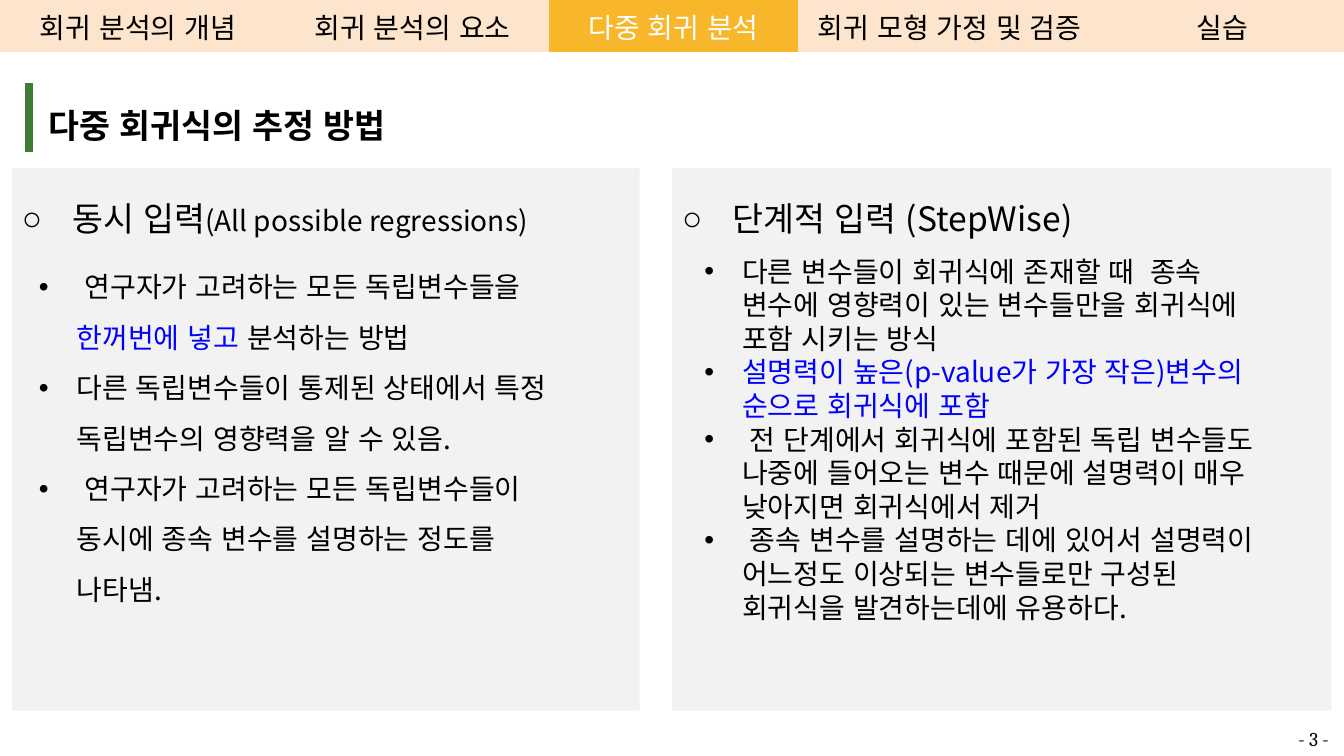
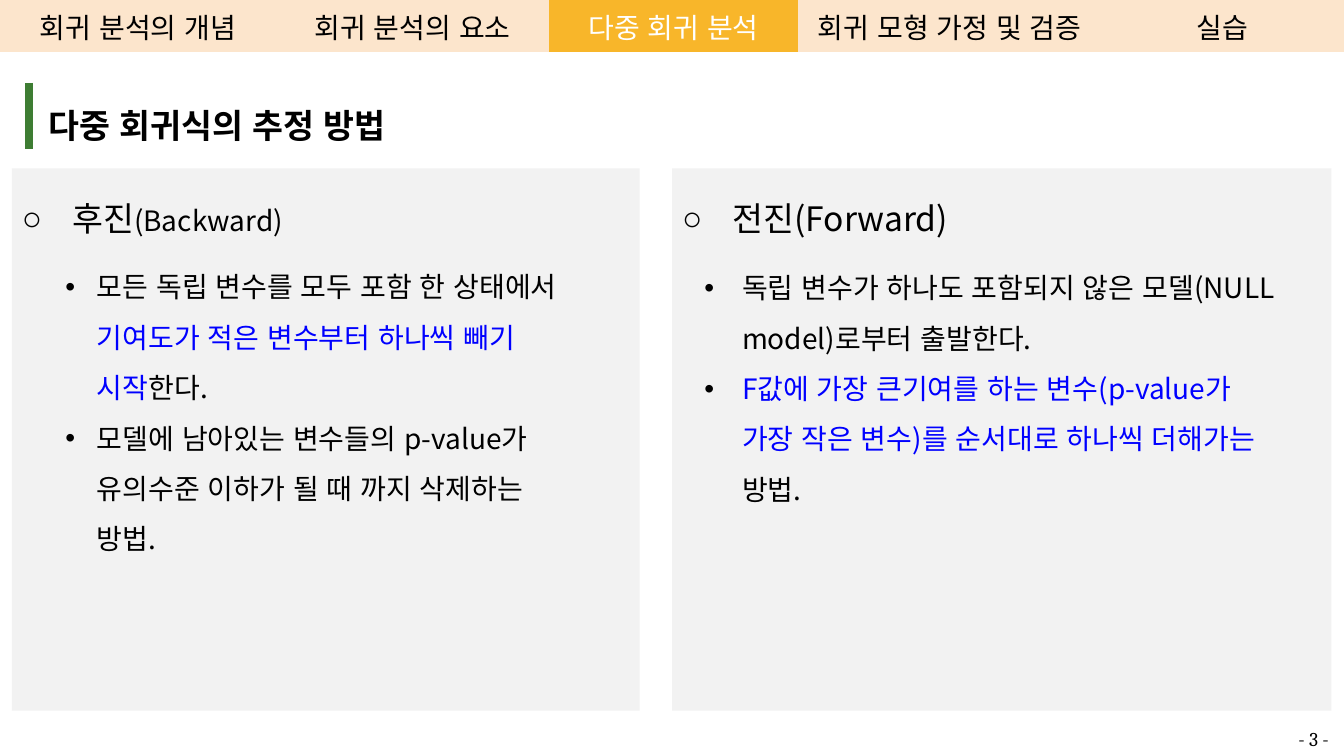
from dataclasses import dataclass

from lxml.etree import SubElement
from pptx import Presentation
from pptx.dml.color import RGBColor
from pptx.enum.lang import MSO_LANGUAGE_ID as Language
from pptx.enum.text import MSO_ANCHOR as Anchor, MSO_AUTO_SIZE as AutoSize, PP_ALIGN as Align
from pptx.oxml.ns import qn
from pptx.util import Cm, Pt


@dataclass(frozen=True)
class Theme:
    font: str = "Noto Sans CJK KR"
    page_font: str = "Cambria"
    ink: str = "000000"
    emphasis: str = "0000FF"
    white: str = "FFFFFF"
    panel: str = "F2F2F2"
    tab: str = "FCE5CC"
    active_tab: str = "F8B62A"
    accent: str = "3E7D33"
    title_size: int = 24
    body_size: int = 20
    page_size: int = 14


THEME = Theme()
COMPARISON_LAYOUT = 4
NO_GRID_STYLE = "{2D5ABB26-0587-4C30-8999-92F81FD0307C}"

TABS = [
    ("회귀 분석의 개념", 6.96),
    ("회귀 분석의 요소", 6.88),
    ("다중 회귀 분석", 6.27),
    ("회귀 모형 가정 및 검증", 7.65),
    ("실습", 6.11),
]
ACTIVE_TAB = 2
TITLE = " 다중 회귀식의 추정 방법"
PAGE_LABEL = "- 3 -"

# Left and width of the two panels, in cm
PANELS = [(0.3, 15.82), (16.94, 16.61)]
PANEL_TOP, PANEL_HEIGHT = 4.24, 13.67


@dataclass(frozen=True)
class Span:
    text: str
    color: str = THEME.ink
    size: int = THEME.body_size


def heading(text):
    return Span(text, size=THEME.title_size)


def key(text):
    return Span(text, color=THEME.emphasis)


@dataclass(frozen=True)
class Method:
    """One estimation method: panel heading and list, with list geometry in cm."""
    heading: list
    points: list
    left: float
    width: float
    height: float
    top: float = 6.25
    indent: float = 0.95
    spacing: float = 1.5


SIMULTANEOUS = Method(
    [heading("동시 입력"), Span("(All possible regressions)")],
    [
        [Span(" 연구자가 고려하는 모든 독립변수들을 "), key("한꺼번에 넣고 "), Span("분석하는 방법")],
        [Span("다른 독립변수들이 통제된 상태에서 특정 독립변수의 영향력을 알 수 있음.")],
        [Span(" 연구자가 고려하는 모든 독립변수들이 동시에 종속 변수를 설명하는 정도를 나타냄.")],
    ],
    left=0.73, width=13.97, height=7.82,
)
STEPWISE = Method(
    [heading("단계적 입력 (StepWise)")],
    [
        [Span("다른 변수들이 회귀식에 존재할 때  종속 변수에 영향력이 있는 변수들만을 "
              "회귀식에 포함 시키는 방식")],
        [key("설명력이 높은(p-value가 가장 작은)변수의 순으로 회귀식에 포함")],
        [Span(" 전 단계에서 회귀식에 포함된 독립 변수들도 나중에 들어오는 변수 때문에 "
              "설명력이 매우 낮아지면 회귀식에서 제거")],
        [Span(" 종속 변수를 설명하는 데에 있어서 설명력이 어느정도 이상되는 변수들로만 "
              "구성된 회귀식을 발견하는데에 유용하다.")],
    ],
    left=17.5, width=14.99, height=10.26, top=6.27, spacing=1.0,
)
BACKWARD = Method(
    [heading("후진"), Span("(Backward)")],
    [
        [Span("모든 독립 변수를 모두 포함 한 상태에서 "),
         key("기여도가 적은 변수부터 하나씩 빼기 시작"), Span("한다.")],
        [Span("모델에 남아있는 변수들의 p-value가 유의수준 이하가 될 때 까지 삭제하는 방법.")],
    ],
    left=1.4, width=13.31, height=5.26, indent=0.79,
)
FORWARD = Method(
    [heading("전진(Forward)")],
    [
        [Span("독립 변수가 하나도 포함되지 않은 모델(NULL model)로부터 출발한다.")],
        [key("F값에 가장 큰기여를 하는 변수(p-value가 가장 작은 변수)를 순서대로 하나씩 더해가는"),
         Span(" 방법.")],
    ],
    left=17.5, width=14.99, height=5.99, top=6.27,
)


def rgb(color):
    return RGBColor.from_string(color)


def place(shape, left, top, width, height):
    shape.left, shape.top = Cm(left), Cm(top)
    shape.width, shape.height = Cm(width), Cm(height)


def set_margins(holder, side=0.25, top=0.13, bottom=0.13):
    """Set the insets of a text frame or a table cell, in cm."""
    holder.margin_left = holder.margin_right = Cm(side)
    holder.margin_top, holder.margin_bottom = Cm(top), Cm(bottom)


def set_frame(frame, top=0.13, wrap=True):
    frame.auto_size = AutoSize.NONE
    frame.word_wrap = wrap
    frame.vertical_anchor = Anchor.TOP
    set_margins(frame, top=top)


def add_span(paragraph, span, bold=False, typeface=THEME.font):
    run = paragraph.add_run()
    run.text = span.text
    font = run.font
    font.size, font.bold = Pt(span.size), bold
    font.color.rgb = rgb(span.color)
    font.language_id = Language.KOREAN
    font.name = typeface
    SubElement(run._r.get_or_add_rPr(), qn("a:ea"), typeface=typeface)


def add_solid_fill(parent, color):
    SubElement(SubElement(parent, qn("a:solidFill")), qn("a:srgbClr"), val=color)


def set_bullet(paragraph, char, indent):
    properties = paragraph._p.get_or_add_pPr()
    properties.set("marL", str(Cm(indent)))
    properties.set("indent", str(-Cm(indent)))
    bullet_color = SubElement(properties, qn("a:buClr"))
    SubElement(bullet_color, qn("a:srgbClr"), val=THEME.ink)
    SubElement(properties, qn("a:buFont"), typeface="Arial")
    SubElement(properties, qn("a:buChar"), char=char)


def fill_list(frame, points, char, indent, spacing):
    for number, spans in enumerate(points):
        paragraph = frame.add_paragraph() if number else frame.paragraphs[0]
        paragraph.alignment = Align.LEFT
        paragraph.line_spacing = spacing
        paragraph.space_before = paragraph.space_after = Pt(0)
        set_bullet(paragraph, char, indent)
        for span in spans:
            add_span(paragraph, span)


def add_plain_row(slide, left, top, widths, height):
    """Add a one-row table without banding or grid and return it."""
    frame = slide.shapes.add_table(
        1, len(widths), Cm(left), Cm(top), Cm(sum(widths)), Cm(height))
    row = frame.table
    row.first_row = row.horz_banding = False
    for style in frame.element.iter(qn("a:tableStyleId")):
        style.text = NO_GRID_STYLE
    for column, width in zip(row.columns, widths):
        column.width = Cm(width)
    return row


def add_tabs(slide):
    tabs = add_plain_row(slide, 0, 0, [width for _, width in TABS], 1.32)
    for number, (label, _) in enumerate(TABS):
        active = number == ACTIVE_TAB
        cell = tabs.cell(0, number)
        cell.fill.solid()
        cell.fill.fore_color.rgb = rgb(THEME.active_tab if active else THEME.tab)
        cell.vertical_anchor = Anchor.MIDDLE
        set_margins(cell, 0.1, 0.1, 0.1)
        paragraph = cell.text_frame.paragraphs[0]
        paragraph.alignment = Align.CENTER
        add_span(paragraph, Span(label, THEME.white if active else THEME.ink))


def add_title(slide, height):
    """Add the title as a one-cell table whose left border is the accent bar."""
    title = add_plain_row(slide, 0.73, 2.09, [32.82], height).cell(0, 0)
    set_margins(title, top=0.43, bottom=0)
    add_span(title.text_frame.paragraphs[0], heading(TITLE), bold=True)
    properties = title._tc.get_or_add_tcPr()
    border = SubElement(properties, qn("a:lnL"), w=str(Pt(6)))
    add_solid_fill(border, THEME.accent)
    title.fill.background()


def add_page_label(slide):
    label = slide.shapes.add_textbox(Cm(32.47), Cm(18.19), Cm(1.4), Cm(0.86))
    set_frame(label.text_frame, wrap=False)
    add_span(label.text_frame.paragraphs[0], Span(PAGE_LABEL, size=THEME.page_size),
             typeface=THEME.page_font)


def fill_panel(slide, column, method):
    """Fill one heading and list pair of the comparison layout."""
    panel = slide.placeholders[1 + 2 * column]
    left, width = PANELS[column]
    place(panel, left, PANEL_TOP, width, PANEL_HEIGHT)
    panel.fill.solid()
    panel.fill.fore_color.rgb = rgb(THEME.panel)
    set_frame(panel.text_frame, top=0.25)
    fill_list(panel.text_frame, [method.heading], "○", 1.27, 1.5)

    points = slide.placeholders[2 + 2 * column]
    place(points, method.left, method.top, method.width, method.height)
    set_frame(points.text_frame)
    fill_list(points.text_frame, method.points, "•", method.indent, method.spacing)


def add_method_slide(deck, methods, title_height):
    slide = deck.slides.add_slide(deck.slide_layouts[COMPARISON_LAYOUT])
    unused_title = slide.shapes.title.element
    unused_title.getparent().remove(unused_title)
    for column, method in enumerate(methods):
        fill_panel(slide, column, method)
    add_title(slide, title_height)
    add_page_label(slide)
    add_tabs(slide)


def main():
    deck = Presentation()
    deck.slide_width, deck.slide_height = Cm(33.87), Cm(19.05)
    add_method_slide(deck, [SIMULTANEOUS, STEPWISE], title_height=1.74)
    add_method_slide(deck, [BACKWARD, FORWARD], title_height=1.53)
    deck.save("out.pptx")


if __name__ == "__main__":
    main()
